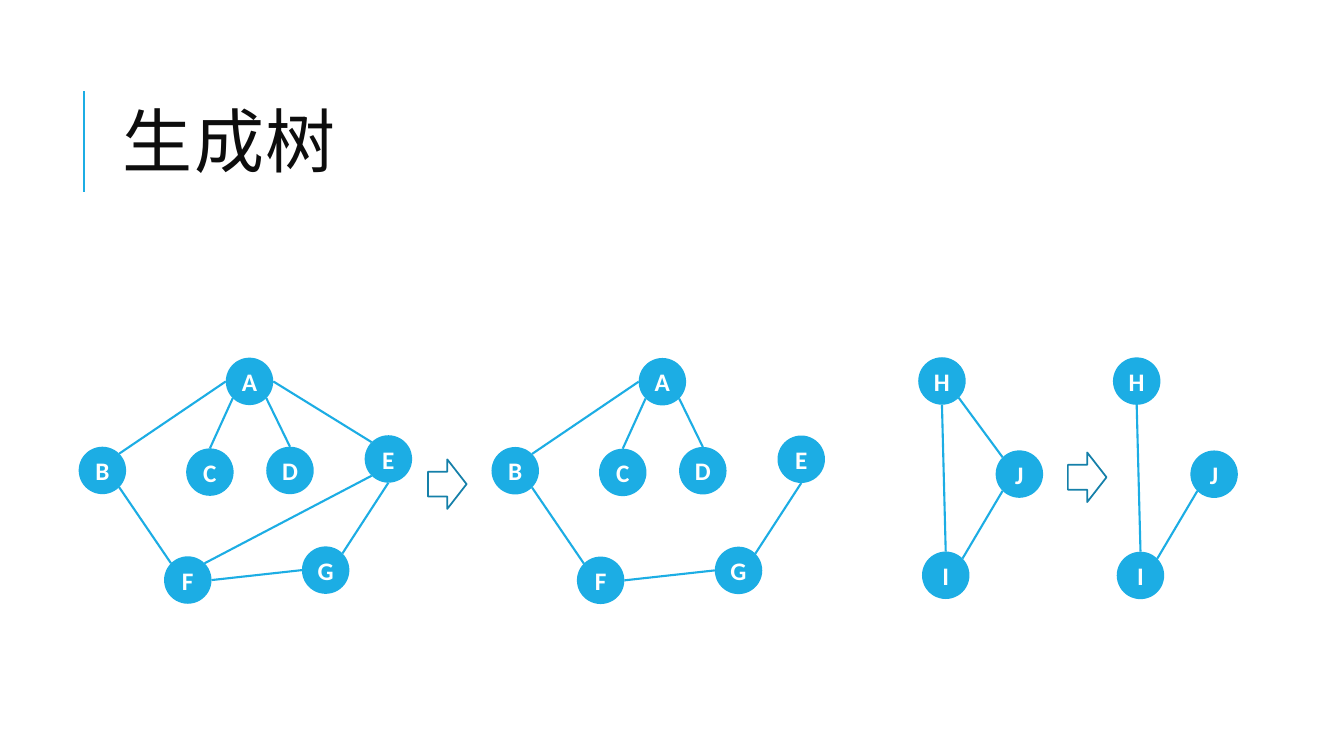
from math import cos, radians, sin

from lxml import etree
from pptx import Presentation
from pptx.dml.color import RGBColor
from pptx.enum.shapes import MSO_CONNECTOR, MSO_SHAPE
from pptx.enum.text import MSO_ANCHOR, PP_ALIGN
from pptx.oxml.ns import qn
from pptx.util import Pt

COLORS = {"accent": "1CADE4", "arrow": "1580A9", "title": "0D0D0D", "node": "FFFFFF"}
NODE_SIZE = 33.9
ANGLES = {"E": 0, "SE": 45, "S": 90, "SW": 135, "W": 180, "NW": 225, "N": 270, "NE": 315}

# Top-left corners of the nodes, relative to the corner of their graph
LARGE_NODES = {
    "A": (105.1, 0), "B": (0, 63.6), "C": (76.8, 64.8), "D": (134, 63.6),
    "E": (204.3, 55.4), "F": (61, 141.9), "G": (159.5, 134.8),
}
SMALL_NODES = {"H": (0, 0), "I": (2.7, 138.8), "J": (55.3, 66.5)}

# Node and side where each edge starts, then node and side where it ends
LARGE_TREE = [
    ("A", "W", "B", "NE"), ("B", "SE", "F", "NW"), ("A", "SW", "C", "N"),
    ("A", "SE", "D", "N"), ("E", "S", "G", "NE"), ("G", "W", "F", "E"),
]
LARGE_CYCLES = [("A", "E", "E", "NW"), ("E", "SW", "F", "NE")]
SMALL_TREE = [("H", "S", "I", "N"), ("J", "SW", "I", "NE")]
SMALL_CYCLES = [("H", "SE", "J", "NW")]


def color(name):
    return RGBColor.from_string(COLORS[name])


def add_line(shapes, start, end):
    line = shapes.add_connector(MSO_CONNECTOR.STRAIGHT, *map(Pt, start + end))
    line.line.color.rgb = color("accent")
    line.line.width = Pt(1.5)
    etree.SubElement(line._element.spPr, qn("a:effectLst"))


def add_title(page, text):
    box = page.shapes.add_textbox(Pt(80.6), Pt(46.1), Pt(765.4), Pt(118.1))
    frame = box.text_frame
    frame.word_wrap = True
    frame.vertical_anchor = MSO_ANCHOR.MIDDLE
    para = frame.paragraphs[0]
    para.line_spacing = 0.8
    span = para.add_run()
    span.text = text
    span.font._element.set("spc", "100")
    para.font.name = "Cabin"
    para.font.size = Pt(50)
    para.font.color.rgb = color("title")


def add_node(shapes, label, left, top):
    node = shapes.add_shape(MSO_SHAPE.OVAL, Pt(left), Pt(top), Pt(NODE_SIZE), Pt(NODE_SIZE))
    node.shadow.inherit = False
    node.fill.solid()
    node.fill.fore_color.rgb = color("accent")
    node.line.fill.background()
    frame = node.text_frame
    frame.margin_left = frame.margin_right = frame.margin_top = frame.margin_bottom = 0
    frame.vertical_anchor = MSO_ANCHOR.MIDDLE
    para = frame.paragraphs[0]
    para.text = label
    para.alignment = PP_ALIGN.CENTER
    para.font.name = "Calibri"
    para.font.size = Pt(18)
    para.font.bold = True
    para.font.color.rgb = color("node")


def rim_point(corner, side):
    """Return the point on a node's circle that faces the given compass side."""
    angle = radians(ANGLES[side])
    radius = NODE_SIZE / 2
    return (corner[0] + radius * (1 + cos(angle)), corner[1] + radius * (1 + sin(angle)))


def add_graph(page, left, top, nodes, edges):
    shapes = page.shapes.add_group_shape().shapes
    corners = {label: (left + x, top + y) for label, (x, y) in nodes.items()}
    for label, corner in corners.items():
        add_node(shapes, label, *corner)
    for start, start_side, end, end_side in edges:
        add_line(shapes, rim_point(corners[start], start_side), rim_point(corners[end], end_side))


def add_arrow(page, left, top):
    arrow = page.shapes.add_shape(MSO_SHAPE.RIGHT_ARROW, Pt(left), Pt(top), Pt(27.6), Pt(35.4))
    arrow.shadow.inherit = False
    arrow.fill.background()
    arrow.line.color.rgb = color("arrow")
    arrow.line.width = Pt(1.25)


def main():
    deck = Presentation()
    deck.slide_width, deck.slide_height = Pt(960), Pt(540)
    page = deck.slides.add_slide(deck.slide_layouts[6])
    add_line(page.shapes, (60, 136.8), (60, 64.8))
    add_title(page, "生成树")
    add_graph(page, 56.2, 255.5, LARGE_NODES, LARGE_TREE + LARGE_CYCLES)
    add_graph(page, 655.9, 255.2, SMALL_NODES, SMALL_TREE + SMALL_CYCLES)
    add_graph(page, 351.1, 255.7, LARGE_NODES, LARGE_TREE)
    add_graph(page, 795, 255.3, SMALL_NODES, SMALL_TREE)
    add_arrow(page, 305.7, 328.1)
    add_arrow(page, 762.8, 323.2)
    deck.save("out.pptx")


if __name__ == "__main__":
    main()
